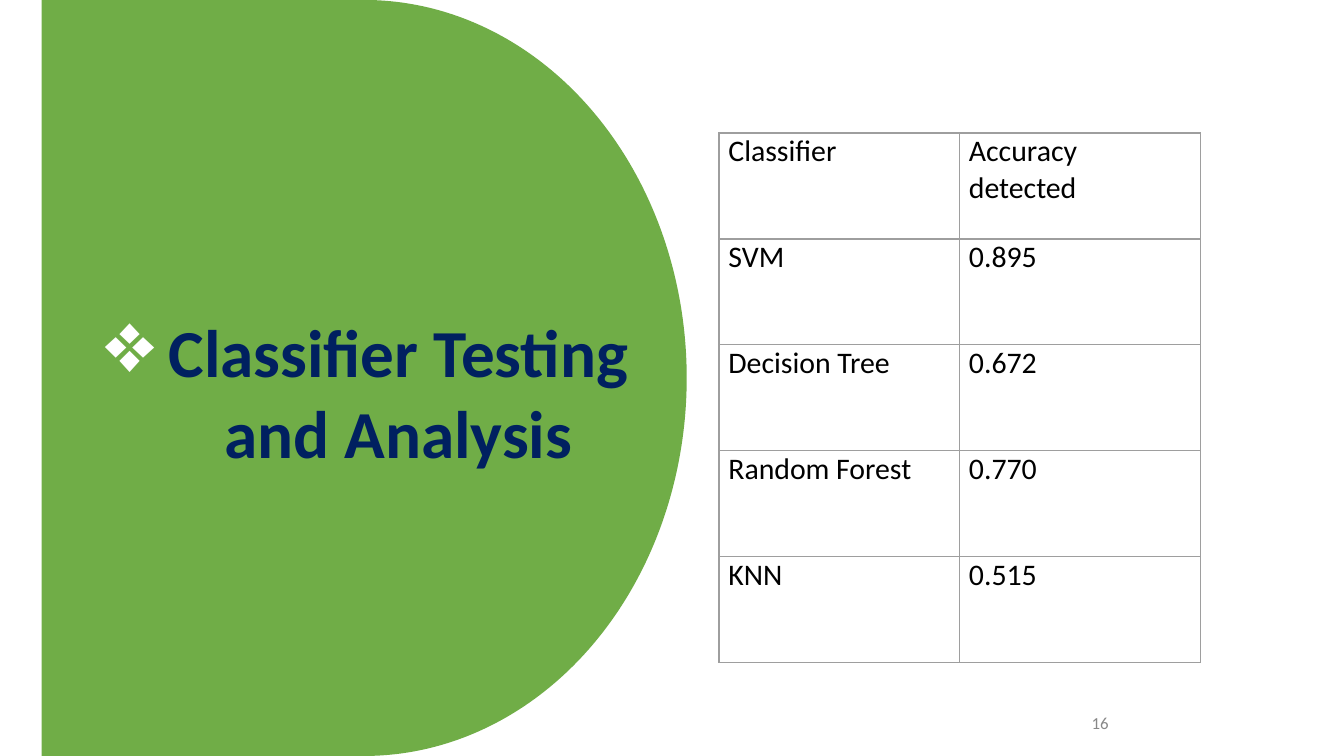
import dataclasses

import lxml.etree
import pptx
import pptx.dml.color
import pptx.enum.shapes
import pptx.enum.text
import pptx.oxml.ns
import pptx.util

Inches = pptx.util.Inches
Pt = pptx.util.Pt
ALIGN = pptx.enum.text.PP_ALIGN
qn = pptx.oxml.ns.qn


@dataclasses.dataclass(frozen=True)
class Theme:
    font: str = "Calibri"
    panel: str = "70AD47"
    title: str = "002060"
    bullet: str = "FFFFFF"
    body: str = "000000"
    border: str = "9E9E9E"
    muted: str = "888888"
    title_size: float = 36
    body_size: float = 16
    number_size: float = 9
    bullet_percent: int = 129
    border_width: float = 0.75


THEME = Theme()
RESULTS = [
    ("Classifier", "Accuracy detected"),
    ("SVM", "0.895"),
    ("Decision Tree", "0.672"),
    ("Random Forest", "0.770"),
    ("KNN", "0.515"),
]


def rgb(color):
    return pptx.dml.color.RGBColor.from_string(color)


def add_run(p, text, size, color, bold=False):
    r = p.add_run()
    r.text = text
    r.font.name = THEME.font
    r.font.size = Pt(size)
    r.font.bold = bold
    r.font.color.rgb = rgb(color)


def set_frame(tf, margin_top=0.1):
    tf.word_wrap = True
    tf.vertical_anchor = pptx.enum.text.MSO_ANCHOR.TOP
    tf.margin_left = tf.margin_right = tf.margin_bottom = Inches(0.1)
    tf.margin_top = Inches(margin_top)


def add_color(parent, color):
    lxml.etree.SubElement(parent, qn("a:srgbClr"), val=color)


def set_bullet(p, char, indent, hanging):
    pPr = p._p.get_or_add_pPr()
    pPr.set("marL", str(Inches(indent)))
    pPr.set("indent", str(-Inches(hanging)))
    add_color(lxml.etree.SubElement(pPr, qn("a:buClr")), THEME.bullet)
    lxml.etree.SubElement(pPr, qn("a:buSzPct"), val=str(THEME.bullet_percent * 1000))
    lxml.etree.SubElement(pPr, qn("a:buChar"), char=char)


def set_borders(cell):
    tcPr = cell._tc.get_or_add_tcPr()
    for i, side in enumerate(("a:lnL", "a:lnR", "a:lnT", "a:lnB")):
        ln = lxml.etree.Element(qn(side), w=str(Pt(THEME.border_width)))
        add_color(lxml.etree.SubElement(ln, qn("a:solidFill")), THEME.border)
        tcPr.insert(i, ln)


def add_title_panel(s, left, top, width, height):
    panel = s.shapes.add_shape(
        pptx.enum.shapes.MSO_SHAPE.FLOWCHART_DELAY, left, top, width, height)
    panel.shadow.inherit = False
    panel.fill.solid()
    panel.fill.fore_color.rgb = rgb(THEME.panel)
    panel.line.fill.background()

    title = s.shapes.title
    panel.element.addnext(title.element)
    title.left, title.top = left + Inches(0.13), top + Inches(2.21)
    title.width, title.height = width - Inches(0.25), Inches(1.41)
    tf = title.text_frame
    set_frame(tf)
    tf.auto_size = pptx.enum.text.MSO_AUTO_SIZE.NONE
    p = tf.paragraphs[0]
    p.alignment = ALIGN.CENTER
    set_bullet(p, "❖", 0.5, 0.47)
    add_run(p, "Classifier Testing and Analysis", THEME.title_size, THEME.title, True)


def add_results_table(s, left, top, width, height):
    rows, cols = len(RESULTS), len(RESULTS[0])
    table = s.shapes.add_table(rows, cols, left, top, width, height).table
    table.first_row = table.horz_banding = False
    for i, values in enumerate(RESULTS):
        for j, value in enumerate(values):
            cell = table.cell(i, j)
            cell.fill.background()
            cell.margin_left = cell.margin_right = Inches(0.07)
            cell.margin_top = cell.margin_bottom = 0
            set_borders(cell)
            p = cell.text_frame.paragraphs[0]
            p.alignment = ALIGN.JUSTIFY
            add_run(p, value, THEME.body_size, THEME.body)


def add_slide_number(s, left, top, width, height):
    tb = s.shapes.add_textbox(left, top, width, height)
    set_frame(tb.text_frame, 0.13)
    p = tb.text_frame.paragraphs[0]
    p.alignment = ALIGN.CENTER
    add_run(p, "16", THEME.number_size, THEME.muted)


def main():
    prs = pptx.Presentation()
    prs.slide_width = Inches(10)
    prs.slide_height = prs.slide_width * 9 // 16
    s = prs.slides.add_slide(prs.slide_layouts.get_by_name("Title Only"))
    add_slide_number(s, Inches(7.06), Inches(5.21), Inches(2.25), Inches(0.3))
    add_title_panel(s, Inches(0.31), 0, Inches(4.8), prs.slide_height)
    add_results_table(s, Inches(5.35), Inches(0.99), Inches(3.58), Inches(3.94))
    prs.save("out.pptx")


if __name__ == "__main__":
    main()
